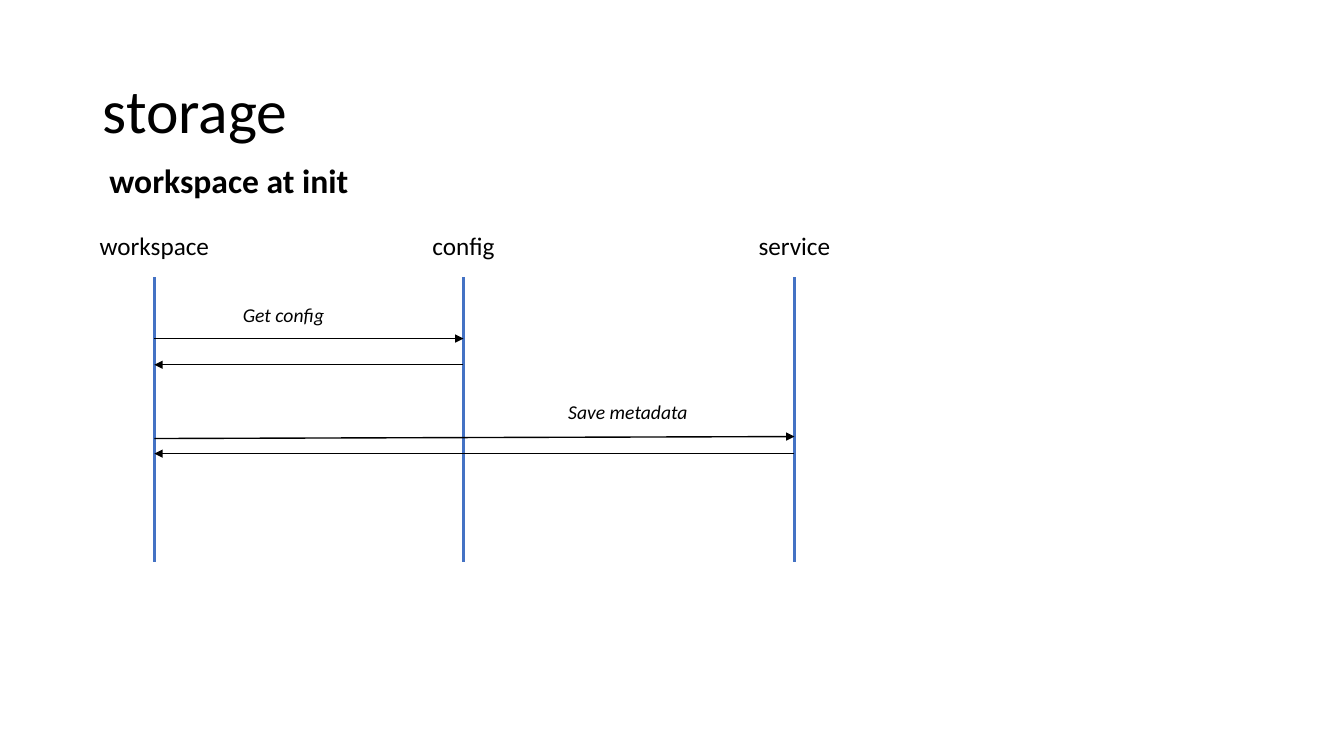
from lxml import etree
from pptx import Presentation
from pptx import util as u
from pptx.dml.color import RGBColor
from pptx.enum import shapes, text
from pptx.oxml.ns import qn

BLACK = RGBColor(0x00, 0x00, 0x00)
BLUE = RGBColor(0x44, 0x72, 0xC4)
FONT = "Calibri"

# Participant name, lifeline offset and label width, in cm
PARTICIPANTS = [("workspace", 0, 3.3), ("config", 7.79, 2.11), ("service", 16.13, 2.34)]
# Sender, receiver, and the height of each end below the diagram's top, in cm
MESSAGES = [
    ("workspace", "config", 2.84, 2.84),
    ("config", "workspace", 3.5, 3.5),
    ("workspace", "service", 5.36, 5.31),
    ("service", "workspace", 5.74, 5.74),
]
# Caption, then left, top and width within the diagram, in cm
CAPTIONS = [("Get config", 1.98, 1.83, 4.37), ("Save metadata", 10.18, 4.27, 3.56)]


def add_text(slide, wording, left, top, width, height, size=18, bold=False,
             italic=False, align=text.PP_ALIGN.LEFT, anchor=text.MSO_ANCHOR.TOP,
             wrap=False, line_spacing=None):
    """Add a text box with one formatted paragraph; lengths are in cm."""
    box = slide.shapes.add_textbox(u.Cm(left), u.Cm(top), u.Cm(width), u.Cm(height))
    frame = box.text_frame
    frame.word_wrap = wrap
    frame.vertical_anchor = anchor
    paragraph = frame.paragraphs[0]
    paragraph.alignment = align
    paragraph.line_spacing = line_spacing
    run = paragraph.add_run()
    run.text = wording
    run.font.name = FONT
    run.font.size = u.Pt(size)
    run.font.bold = bold
    run.font.italic = italic
    run.font.color.rgb = BLACK


def add_line(slide, start, end, color, weight, arrow=False):
    """Add a straight line between two points in cm, with an optional arrowhead."""
    connector = slide.shapes.add_connector(
        shapes.MSO_CONNECTOR.STRAIGHT, *(u.Cm(value) for value in (*start, *end)))
    connector.line.color.rgb = color
    connector.line.width = u.Pt(weight)
    if arrow:
        etree.SubElement(connector.line._get_or_add_ln(), qn("a:tailEnd"), type="triangle")
    etree.SubElement(connector._element.spPr, qn("a:effectLst"))


def add_heading(slide, left, top, width, height):
    """Place the slide title and its subtitle in the given box."""
    add_text(slide, "storage", left, top, width, height, size=44, wrap=True,
             anchor=text.MSO_ANCHOR.MIDDLE, line_spacing=0.9)
    add_text(slide, "workspace at init", left + 0.17, top + 2.89, 6.58, 1.27,
             size=24, bold=True)


def add_sequence_diagram(slide, left, top, height):
    """Place lifelines, messages and captions; left is the first lifeline."""
    columns = {}
    for name, offset, width in PARTICIPANTS:
        column = columns[name] = left + offset
        add_line(slide, (column, top + 1.3), (column, top + height), BLUE, 2.25)
        add_text(slide, name, column - width / 2, top, width, 1.02,
                 align=text.PP_ALIGN.CENTER)
    for sender, receiver, start, end in MESSAGES:
        add_line(slide, (columns[sender], top + start), (columns[receiver], top + end),
                 BLACK, 1, arrow=True)
    for caption, offset, drop, width in CAPTIONS:
        add_text(slide, caption, left + offset, top + drop, width, 0.86,
                 size=14, italic=True)


def main():
    """Build the storage slide and save it."""
    presentation = Presentation()
    presentation.slide_width = u.Cm(33.87)
    presentation.slide_height = u.Cm(19.05)
    slide = presentation.slides.add_slide(presentation.slide_layouts[6])
    add_heading(slide, 2.34, 1.02, 29.21, 3.68)
    add_sequence_diagram(slide, 3.89, 5.69, 8.48)
    presentation.save("out.pptx")


main()
